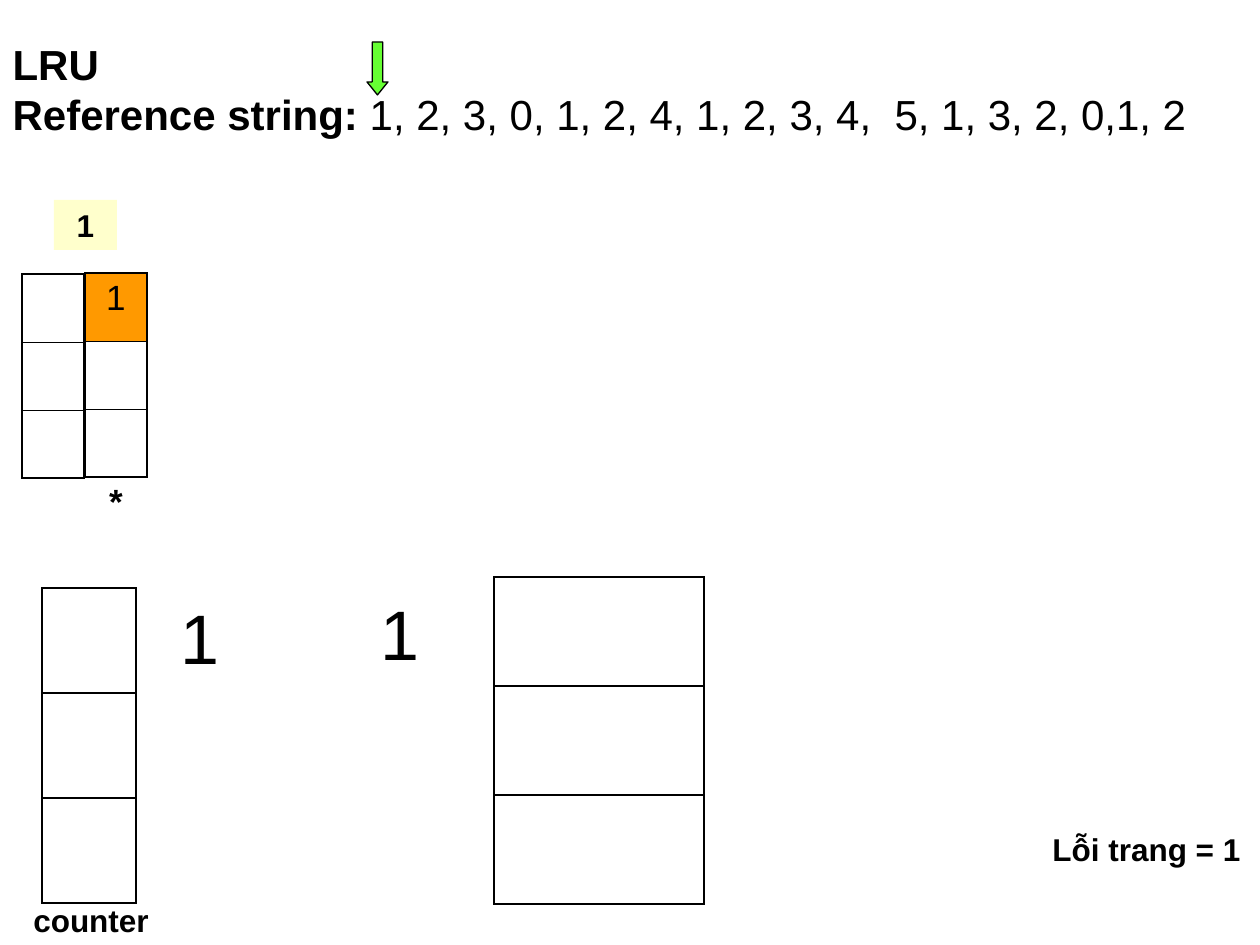
from dataclasses import dataclass

from lxml import etree
from pptx import Presentation
from pptx.dml.color import RGBColor
from pptx.enum.shapes import MSO_SHAPE
from pptx.enum.text import MSO_ANCHOR, MSO_AUTO_SIZE, PP_ALIGN
from pptx.oxml.ns import qn
from pptx.util import Emu, Pt

RECTANGLE, DOWN_ARROW = MSO_SHAPE.RECTANGLE, MSO_SHAPE.DOWN_ARROW
TOP = MSO_ANCHOR.TOP
NO_FIT, GROW = MSO_AUTO_SIZE.NONE, MSO_AUTO_SIZE.SHAPE_TO_FIT_TEXT
LEFT, CENTER = PP_ALIGN.LEFT, PP_ALIGN.CENTER
EMU_PER_INCH, PX_PER_INCH = 914400, 126


@dataclass(frozen=True)
class Theme:
    font: str = "Arial"
    ink: str = "000000"
    current_page: str = "FFFFCC"
    fault: str = "FF9900"
    pointer: str = "66FF33"
    heading: int = 24
    label: int = 18
    page: int = 20
    count: int = 40
    thick: float = 1.08
    thin: float = 0.45
    outline: float = 0.75


THEME = Theme()


@dataclass(frozen=True)
class Box:
    left: int
    top: int
    width: int
    height: int

    def emu(self) -> tuple[Emu, ...]:
        return tuple(px(n) for n in (self.left, self.top, self.width, self.height))


@dataclass(frozen=True)
class Cell:
    """Border widths in points run left, right, top, bottom; 0 is no line."""
    borders: tuple[float, float, float, float]
    text: str = ""
    bold: bool = False
    fill: str = ""


@dataclass(frozen=True)
class Column:
    left: int
    top: int
    width: int
    row_height: int
    cells: tuple[Cell, ...]


@dataclass(frozen=True)
class Label:
    box: Box
    text: str
    size: int
    bold: bool


def px(length: int) -> Emu:
    return Emu(round(length * EMU_PER_INCH / PX_PER_INCH))


def add_run(paragraph, text: str, size: int, bold: bool) -> None:
    run = paragraph.add_run()
    run.text = text
    run.font.name = THEME.font
    run.font.size = Pt(size)
    run.font.bold = bold
    run.font.color.rgb = RGBColor.from_string(THEME.ink)


def add_heading(slide, box: Box, lines: list[list[tuple[str, bool]]]) -> None:
    title = slide.shapes.title
    title.left, title.top, title.width, title.height = box.emu()
    frame = title.text_frame
    frame.auto_size = NO_FIT
    frame.vertical_anchor = TOP
    for index, line in enumerate(lines):
        paragraph = frame.add_paragraph() if index else frame.paragraphs[0]
        paragraph.alignment = LEFT
        for text, bold in line:
            add_run(paragraph, text, THEME.heading, bold)


def add_label(slide, label: Label) -> None:
    frame = slide.shapes.add_textbox(*label.box.emu()).text_frame
    frame.word_wrap = True
    frame.auto_size = GROW
    add_run(frame.paragraphs[0], label.text, label.size, label.bold)


def add_filled_shape(slide, kind, box: Box, color: str):
    shape = slide.shapes.add_shape(kind, *box.emu())
    shape.shadow.inherit = False
    shape.fill.solid()
    shape.fill.fore_color.rgb = RGBColor.from_string(color)
    shape.line.fill.background()
    return shape


def set_borders(table_cell, widths: tuple[float, ...]) -> None:
    properties = table_cell._tc.get_or_add_tcPr()
    for side, width in zip("LRTB", widths):
        line = etree.SubElement(properties, qn(f"a:ln{side}"), w=str(Pt(width)))
        if width:
            fill = etree.SubElement(line, qn("a:solidFill"))
            etree.SubElement(fill, qn("a:srgbClr"), val=THEME.ink)
        else:
            etree.SubElement(line, qn("a:noFill"))


def add_column(slide, column: Column) -> None:
    count = len(column.cells)
    box = Box(column.left, column.top, column.width, column.row_height * count)
    table = slide.shapes.add_table(count, 1, *box.emu()).table
    table.first_row = table.horz_banding = False
    for row, cell in enumerate(column.cells):
        table.rows[row].height = px(column.row_height)
        table_cell = table.cell(row, 0)
        set_borders(table_cell, cell.borders)
        if cell.fill:
            table_cell.fill.solid()
            table_cell.fill.fore_color.rgb = RGBColor.from_string(cell.fill)
        else:
            table_cell.fill.background()
        if cell.text:
            paragraph = table_cell.text_frame.paragraphs[0]
            paragraph.alignment = CENTER
            add_run(paragraph, cell.text, THEME.page, cell.bold)


def frame_cells(page: str = "", fill: str = "", mark: str = "") -> tuple[Cell, ...]:
    """Three page frames with an open cell below for the fault mark."""
    thick, thin = THEME.thick, THEME.thin
    return (
        Cell((thick, thick, thick, thin), page, fill=fill),
        Cell((thick, thick, thin, thin)),
        Cell((thick, thick, thin, thick)),
        Cell((0, 0, thick, 0), mark, bold=True),
    )


def main() -> None:
    deck = Presentation()
    deck.slide_width, deck.slide_height = px(1260), px(945)
    title_only = deck.slide_layouts[5]
    slide = deck.slides.add_slide(title_only)

    add_heading(slide, Box(0, 32, 1260, 113), [
        [("LRU", True)],
        [("Reference string:", True),
         (" 1, 2, 3, 0, 1, 2, 4, 1, 2, 3, 4,  5, 1, 3, 2, 0,1, 2", False)],
    ])

    current_page = add_filled_shape(
        slide, RECTANGLE, Box(54, 200, 63, 50), THEME.current_page)
    paragraph = current_page.text_frame.paragraphs[0]
    paragraph.alignment = CENTER
    add_run(paragraph, "1", THEME.label, True)

    boxed = (Cell((THEME.thick,) * 4),) * 3
    for column in (
        Column(85, 273, 62, 68, frame_cells("1", THEME.fault, "*")),
        Column(22, 274, 62, 68, frame_cells()),
        Column(494, 577, 210, 109, boxed),
        Column(42, 588, 94, 105, boxed),
    ):
        add_column(slide, column)

    pointer = add_filled_shape(
        slide, DOWN_ARROW, Box(367, 42, 21, 53), THEME.pointer)
    pointer.adjustments[0] = 0.5
    pointer.adjustments[1] = 0.62
    pointer.line.color.rgb = RGBColor.from_string(THEME.ink)
    pointer.line.width = Pt(THEME.outline)

    for label in (
        Label(Box(1040, 824, 220, 50), "Lỗi trang = 1", THEME.label, True),
        Label(Box(21, 895, 150, 50), "counter", THEME.label, True),
        Label(Box(168, 588, 70, 97), "1", THEME.count, False),
        Label(Box(368, 584, 70, 97), "1", THEME.count, False),
    ):
        add_label(slide, label)

    deck.save("out.pptx")


if __name__ == "__main__":
    main()
